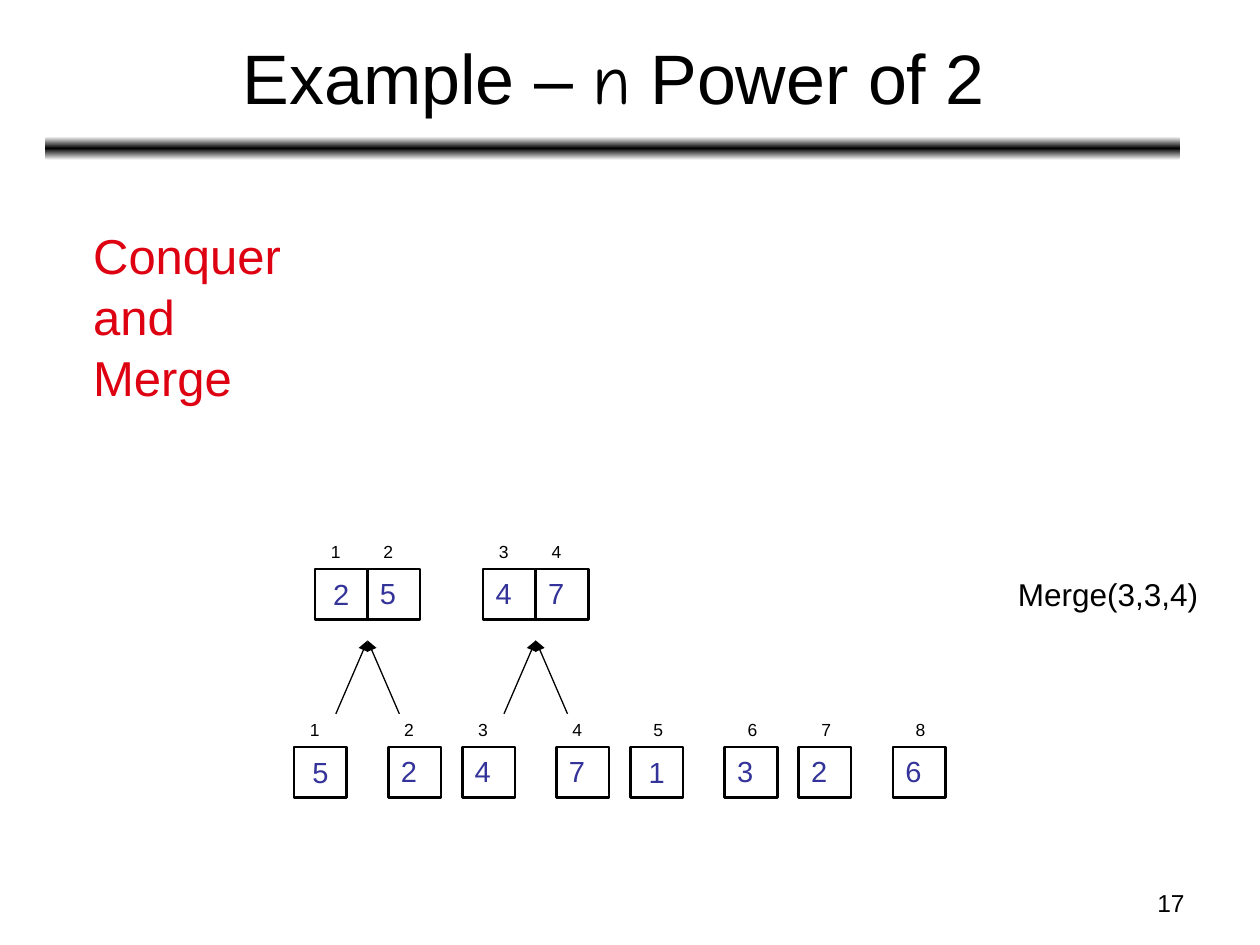
from copy import deepcopy

from lxml.etree import SubElement
from pptx import Presentation
from pptx.dml.color import RGBColor
from pptx.enum.shapes import MSO_CONNECTOR, MSO_SHAPE
from pptx.enum.text import MSO_ANCHOR, PP_ALIGN
from pptx.oxml.ns import qn
from pptx.util import Cm, Pt

BLACK, WHITE, RED, BLUE = "000000", "FFFFFF", "DD0111", "333399"
BOX_W, BOX_H = 1.06, 1.02
PAIR_STEP = 3.39
LABEL_RISE = 0.69


def color(value):
    return RGBColor.from_string(value)


def add_run(p, text, size, fill, name="Arial"):
    r = p.add_run()
    r.text = text
    for key, value in {"size": Pt(size), "name": name, "bold": False}.items():
        setattr(r.font, key, value)
    r.font.color.rgb = color(fill)


def add_text(slide, x, y, w, h, lines, size, fill=BLACK, wrap=True, **fmt):
    tf = slide.shapes.add_textbox(Cm(x), Cm(y), Cm(w), Cm(h)).text_frame
    tf.word_wrap = wrap
    for i, line in enumerate(lines):
        p = tf.paragraphs[0] if i == 0 else tf.add_paragraph()
        for key, value in fmt.items():
            setattr(p, key, value)
        add_run(p, line, size, fill)


def add_title(slide, parts):
    s = slide.shapes.title
    place = {"left": 0.94, "top": 0.28, "width": 22.86, "height": 2.51}
    for key, value in place.items():
        setattr(s, key, Cm(value))
    tf = s.text_frame
    tf.vertical_anchor = MSO_ANCHOR.MIDDLE
    p = tf.paragraphs[0]
    p.alignment = PP_ALIGN.CENTER
    for text, name in parts:
        add_run(p, text, 40, BLACK, name)


def add_gradient_bar(slide):
    s = slide.shapes.add_shape(
        MSO_SHAPE.ROUNDED_RECTANGLE, Cm(0.91), Cm(2.75), Cm(22.88), Cm(0.48))
    s.shadow.inherit = False
    s.line.fill.background()
    s.fill.gradient()
    s.fill.gradient_angle = 90
    first = next(s._element.iter(qn("a:gs")))
    first.addnext(deepcopy(first))
    stops = zip(s.fill.gradient_stops, (0, 0.5, 1), (WHITE, BLACK, WHITE))
    for stop, position, fill in stops:
        stop.position = position
        stop.color.rgb = color(fill)


def add_cell(slide, x, y, value, index, centred=False, label_dx=0.07):
    # Array index above the box
    add_text(slide, x + label_dx, y - LABEL_RISE, 0.64, 0.68, [str(index)], 10)
    # Box with its value
    s = slide.shapes.add_shape(
        MSO_SHAPE.RECTANGLE, Cm(x), Cm(y), Cm(BOX_W), Cm(BOX_H))
    s.shadow.inherit = False
    s.fill.background()
    s.line.color.rgb = color(BLACK)
    s.line.width = Pt(1.5)
    tf = s.text_frame
    tf.vertical_anchor = MSO_ANCHOR.MIDDLE if centred else MSO_ANCHOR.TOP
    p = tf.paragraphs[0]
    p.alignment = PP_ALIGN.CENTER if centred else PP_ALIGN.LEFT
    p.space_before = Pt(4.5)
    add_run(p, str(value), 16.6, BLUE)


def add_pairs(slide, x, y, gap, values, centred, shifted=()):
    for i, value in enumerate(values):
        pair, side = divmod(i, 2)
        add_cell(slide, x + pair * PAIR_STEP + side * gap, y, value, i + 1,
                 centred=i in centred,
                 label_dx=0.21 if i in shifted else 0.07)


def add_arrow(slide, x1, y1, x2, y2):
    s = slide.shapes.add_connector(
        MSO_CONNECTOR.STRAIGHT, Cm(x1), Cm(y1), Cm(x2), Cm(y2))
    s.line.color.rgb = color(BLACK)
    s.line.width = Pt(0.75)
    SubElement(s.line._get_or_add_ln(), qn("a:tailEnd"), type="triangle")
    SubElement(s._element.spPr, qn("a:effectLst"))


def main():
    prs = Presentation()
    prs.slide_width, prs.slide_height = Cm(25.4), Cm(19.05)
    slide = prs.slides.add_slide(prs.slide_layouts[5])

    # Heading and rule
    add_gradient_bar(slide)
    add_title(slide, [("Example – ", "Arial"), ("n", "Comic Neue"),
                      (" Power of 2", "Arial")])

    # Single elements, then merged pairs
    add_pairs(slide, 5.93, 15.06, 1.9, [5, 2, 4, 7, 1, 3, 2, 6],
              centred=(0, 4), shifted=(4, 5, 6, 7))
    add_pairs(slide, 6.35, 11.47, BOX_W, [2, 5, 4, 7], centred=(0,))

    # Arrows from single elements up to each merged pair
    for pair in range(2):
        apex = 7.41 + pair * PAIR_STEP
        for dx in (-0.64, 0.64):
            add_arrow(slide, apex + dx, 14.39, apex, 12.91)

    # Step name, current call and page number
    add_text(slide, 1.63, 4.37, 4.29, 3.81, ["Conquer", "and", "Merge"], 28,
             RED, wrap=False, line_spacing=1.04)
    add_text(slide, 20.27, 11.46, 4.37, 1.02, ["Merge(3,3,4)"], 18)
    add_text(slide, 18.21, 17.78, 5.92, 0.89, ["17"], 14,
             alignment=PP_ALIGN.RIGHT)

    prs.save("out.pptx")


if __name__ == "__main__":
    main()
